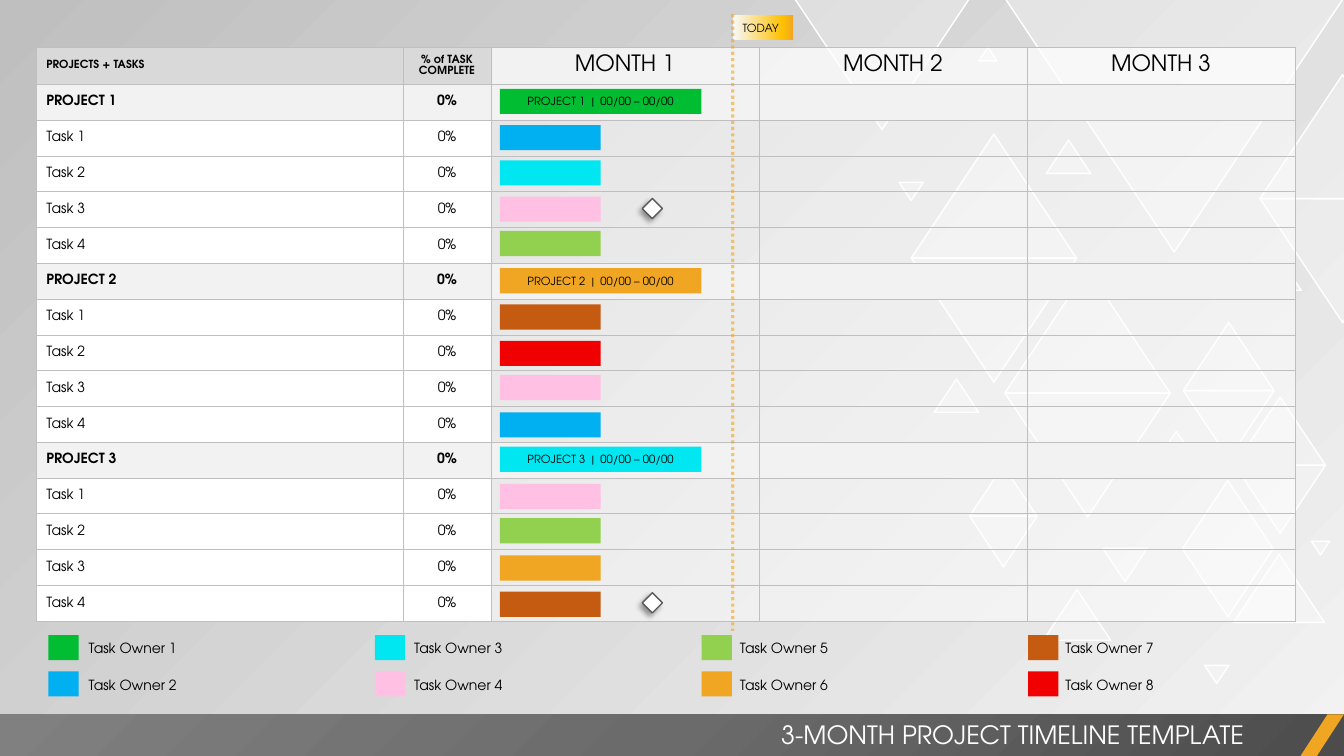
from pptx import Presentation
from pptx.dml.color import RGBColor
from pptx.enum.dml import MSO_LINE
from pptx.enum.shapes import MSO_CONNECTOR, MSO_SHAPE
from pptx.enum.text import MSO_ANCHOR, MSO_AUTO_SIZE, PP_ALIGN
from pptx.oxml import parse_xml
from pptx.oxml.ns import nsdecls, qn
from pptx.util import Pt
from lxml import etree

FONT = "TeX Gyre Adventor"
BLACK = RGBColor(0x00, 0x00, 0x00)
WHITE = RGBColor(0xFF, 0xFF, 0xFF)
PALE = RGBColor(0xF2, 0xF2, 0xF2)
HEADER = RGBColor(0xD9, 0xD9, 0xD9)
GRID = RGBColor(0xBF, 0xBF, 0xBF)
OUTLINE = RGBColor(0x59, 0x59, 0x59)
DARK = RGBColor(0x4C, 0x4C, 0x4C)
MIDDLE = RGBColor(0x6B, 0x6B, 0x6B)
GRAY = RGBColor(0x80, 0x80, 0x80)
ICE = RGBColor(0xF7, 0xFA, 0xFD)
GOLD = RGBColor(0xFF, 0xC0, 0x00)
GREEN = RGBColor(0x00, 0xBD, 0x32)
BLUE = RGBColor(0x00, 0xB0, 0xF0)
CYAN = RGBColor(0x00, 0xE7, 0xF2)
PINK = RGBColor(0xFF, 0xC0, 0xE3)
LIME = RGBColor(0x92, 0xD0, 0x50)
ORANGE = RGBColor(0xF0, 0xA6, 0x22)
BROWN = RGBColor(0xC5, 0x5A, 0x11)
RED = RGBColor(0xF1, 0x00, 0x02)

OWNERS = [GREEN, BLUE, CYAN, PINK, LIME, ORANGE, BROWN, RED]
# Project colour, then the colours of its tasks
PROJECTS = [
    (GREEN, [BLUE, CYAN, PINK, LIME]),
    (ORANGE, [BROWN, RED, PINK, BLUE]),
    (CYAN, [PINK, LIME, ORANGE, BROWN]),
]
BAR_TOPS = [63.4, 89.3, 114.5, 140.4, 164.9, 191.5, 217.4, 243.4,
            267.8, 294.5, 319, 345.6, 370.1, 396.7, 422.6]
MILESTONE_TOPS = [141.8, 423.4]
COLUMNS = [262.1, 62.6, 191.5, 191.5, 191.5]
HEADER_HEIGHT, ROW_HEIGHT = 26.6, 25.58

# Triangles as left, top, width
MIRRORED = [
    (650.9, 95.8, 118.1), (717.8, 192.2, 118.1), (900, 53.3, 118.1),
    (844.6, 343.4, 64.8), (845.3, 230.4, 64.8), (882, 283.7, 64.8),
    (692.6, 332.6, 48.2),
]
UPWARD = [
    (881.3, 396, 64.8), (745.2, 421.2, 48.2), (667.4, 270.7, 31.7),
    (831.6, 308.2, 17.3), (912.2, 194.4, 17.3), (699.1, 33.8, 13),
    (747.4, 100.1, 31.7),
]
DOWNWARD = [
    (717.8, -1.4, 241.9), (787.7, 391.7, 31.7), (860.4, 475.2, 17.3),
    (642.2, 130.3, 17.3), (936.7, 386.6, 13), (567.4, -1.4, 125.3),
]


def put(obj, **values):
    for name, value in values.items():
        setattr(obj, name, value)


def set_alpha(element, percent):
    color = next(element.iter(qn("a:srgbClr")))
    etree.SubElement(color, qn("a:alpha"), val=str(percent * 1000))


def set_gradient(fill, element, stops, direction):
    fill.gradient()
    grad = next(element.iter(qn("a:gradFill")))
    grad.clear()
    grad.set("rotWithShape", "1")
    gs = "".join(f'<a:gs pos="{pos * 1000}"><a:srgbClr val="{color}"/></a:gs>'
                 for pos, color in stops)
    grad.append(parse_xml(f'<a:gsLst {nsdecls("a")}>{gs}</a:gsLst>'))
    grad.append(parse_xml(direction))


def linear(angle):
    return f'<a:lin {nsdecls("a")} ang="{angle * 60000}" scaled="0"/>'


def write(tf, text, size, align=PP_ALIGN.LEFT, color=BLACK, bold=False):
    p = tf.paragraphs[0]
    p.alignment = align
    r = p.add_run()
    r.text = text
    put(r.font, name=FONT, size=Pt(size), bold=bold)
    r.font.color.rgb = color


def add_box(shapes, kind, left, top, width, height, color=None, line=None):
    sp = shapes.add_shape(kind, Pt(left), Pt(top), Pt(width), Pt(height))
    sp.shadow.inherit = False
    if color is not None:
        sp.fill.solid()
        sp.fill.fore_color.rgb = color
    if line is None:
        sp.line.fill.background()
    else:
        sp.line.color.rgb = line
        sp.line.width = Pt(1)
    return sp


def add_label(shapes, left, top, width, height, text, size, **style):
    sp = shapes.add_textbox(Pt(left), Pt(top), Pt(width), Pt(height))
    put(sp.text_frame, word_wrap=True, auto_size=MSO_AUTO_SIZE.SHAPE_TO_FIT_TEXT)
    write(sp.text_frame, text, size, **style)


def add_triangle(shapes, left, top, width, rotation=0):
    sp = add_box(shapes, MSO_SHAPE.ISOSCELES_TRIANGLE, left, top, width,
                 width * 0.75, WHITE, WHITE)
    sp.rotation = rotation
    set_alpha(sp.element, 30)


def add_milestone(shapes, top):
    sp = add_box(shapes, MSO_SHAPE.DIAMOND, 458.8, top, 14.4, 14.4, WHITE, OUTLINE)
    effects = next(sp.element.iter(qn("a:effectLst")))
    effects.append(parse_xml(
        f'<a:outerShdw {nsdecls("a")} blurRad="{Pt(4)}" dist="{Pt(3)}" dir="8100000">'
        '<a:srgbClr val="000000"><a:alpha val="40000"/></a:srgbClr></a:outerShdw>'))


def fill_cell(cell, tc, color, alpha, text="", **style):
    put(cell, vertical_anchor=MSO_ANCHOR.MIDDLE)
    cell.fill.solid()
    cell.fill.fore_color.rgb = color
    if alpha < 100:
        set_alpha(tc, alpha)
    for i, side in enumerate(("lnL", "lnR", "lnT", "lnB")):
        tc.tcPr.insert(i, parse_xml(
            f'<a:{side} {nsdecls("a")} w="{Pt(0.5)}"><a:solidFill>'
            f'<a:srgbClr val="{GRID}"/></a:solidFill></a:{side}>'))
    if text:
        write(cell.text_frame, text, **style)
    else:
        etree.SubElement(next(tc.iter(qn("a:p"))), qn("a:endParaRPr"), sz="1000")


def add_schedule(shapes):
    rows = [["PROJECTS + TASKS", "% of TASK COMPLETE", "MONTH 1", "MONTH 2", "MONTH 3"]]
    for number, (_, tasks) in enumerate(PROJECTS, 1):
        rows.append([f"PROJECT {number}", "0%", "", "", ""])
        rows += [[f"Task {i + 1}", "0%", "", "", ""] for i in range(len(tasks))]
    heights = [HEADER_HEIGHT] + [ROW_HEIGHT] * (len(rows) - 1)
    frame = shapes.add_table(len(rows), len(COLUMNS), Pt(25.9), Pt(33.6),
                             Pt(sum(COLUMNS)), Pt(sum(heights)))
    table = frame.table
    put(table, first_row=False, horz_banding=False)
    for column, width in zip(table.columns, COLUMNS):
        column.width = Pt(width)
    for row, height in zip(table.rows, heights):
        row.height = Pt(height)
    cells = list(zip(table.iter_cells(), frame.element.iter(qn("a:tc"))))
    for i, texts in enumerate(rows):
        project = texts[0].startswith("PROJECT ")
        for j, text in enumerate(texts):
            month = j > 1
            if i == 0:
                color, alpha = (WHITE, 75) if month else (HEADER, 100)
                size, bold = (16, False) if month else (8, True)
            else:
                color, alpha = (PALE, 100) if project else (WHITE, 50 if month else 100)
                size, bold = 10, project
            fill_cell(*cells[i * len(COLUMNS) + j], color, alpha, text, size=size,
                      bold=bold, align=PP_ALIGN.CENTER if j else PP_ALIGN.LEFT)


def add_bars(shapes):
    tops = iter(BAR_TOPS)
    for number, (project_color, tasks) in enumerate(PROJECTS, 1):
        for i, color in enumerate([project_color] + tasks):
            sp = add_box(shapes, MSO_SHAPE.RECTANGLE, 357.1, next(tops),
                         72 if i else 144, 18, color)
            if i == 0:
                sp.text_frame.vertical_anchor = MSO_ANCHOR.MIDDLE
                write(sp.text_frame, f"PROJECT {number}  |  00/00 – 00/00", 8, PP_ALIGN.CENTER)


def add_legend(shapes):
    for i, color in enumerate(OWNERS):
        column, row = divmod(i, 2)
        top = 453.6 + row * 25.9
        add_box(shapes, MSO_SHAPE.RECTANGLE, 34.6 + column * 233.28, top, 21.6, 18, color)
        add_label(shapes, 56.2 + column * 232.6, top, 172.8, 19.4, f"Task Owner {i + 1}", 10)


def add_today(shapes):
    sp = add_box(shapes, MSO_SHAPE.RECTANGLE, 523.4, 10.8, 43.2, 18)
    set_gradient(sp.fill, sp.element, [(0, ICE), (83, GOLD), (100, ORANGE)], linear(0))
    put(sp.text_frame, vertical_anchor=MSO_ANCHOR.MIDDLE, word_wrap=True)
    write(sp.text_frame, "TODAY", 8)
    line = shapes.add_connector(MSO_CONNECTOR.STRAIGHT, Pt(523.4), Pt(10.1), Pt(523.4), Pt(450.7))
    line.line.color.rgb = ORANGE
    put(line.line, width=Pt(2.25), dash_style=MSO_LINE.ROUND_DOT)
    set_alpha(line.element, 60)
    etree.SubElement(line.element.spPr, qn("a:effectLst"))


def main():
    prs = Presentation()
    put(prs, slide_width=Pt(960), slide_height=Pt(540))
    s = prs.slides.add_slide(prs.slide_layouts[6])
    # Background and triangle pattern
    set_gradient(s.background.fill, s.element, [(0, PALE), (100, GRID)], linear(225))
    set_alpha(s.element, 40)
    pattern = s.shapes.add_group_shape().shapes
    for left, top, width in UPWARD + MIRRORED:
        add_triangle(pattern, left, top, width)
    for left, top, width in DOWNWARD + [(x, y + w * 0.75, w) for x, y, w in MIRRORED]:
        add_triangle(pattern, left, top, width, 180)
    # Footer with title
    footer = add_box(s.shapes, MSO_SHAPE.RECTANGLE, 0, 510.2, 960, 30)
    set_gradient(footer.fill, footer.element, [(0, DARK), (50, MIDDLE), (100, GRAY)],
                 f'<a:path {nsdecls("a")} path="circle"><a:fillToRect l="100000" t="100000"/></a:path>')
    accent = add_box(s.shapes, MSO_SHAPE.PARALLELOGRAM, 928.8, 510.2, 31.2, 30, ORANGE)
    accent.adjustments[0] = 0.65
    add_label(s.shapes, 378, 510.1, 517.7, 28.8, "3-MONTH PROJECT TIMELINE TEMPLATE", 18,
              align=PP_ALIGN.RIGHT, color=WHITE)
    # Schedule, bars and milestones
    add_schedule(s.shapes)
    add_bars(s.shapes)
    for top in MILESTONE_TOPS:
        add_milestone(s.shapes, top)
    # Owners and today marker
    add_legend(s.shapes)
    add_today(s.shapes.add_group_shape().shapes)
    prs.save("out.pptx")


if __name__ == "__main__":
    main()
